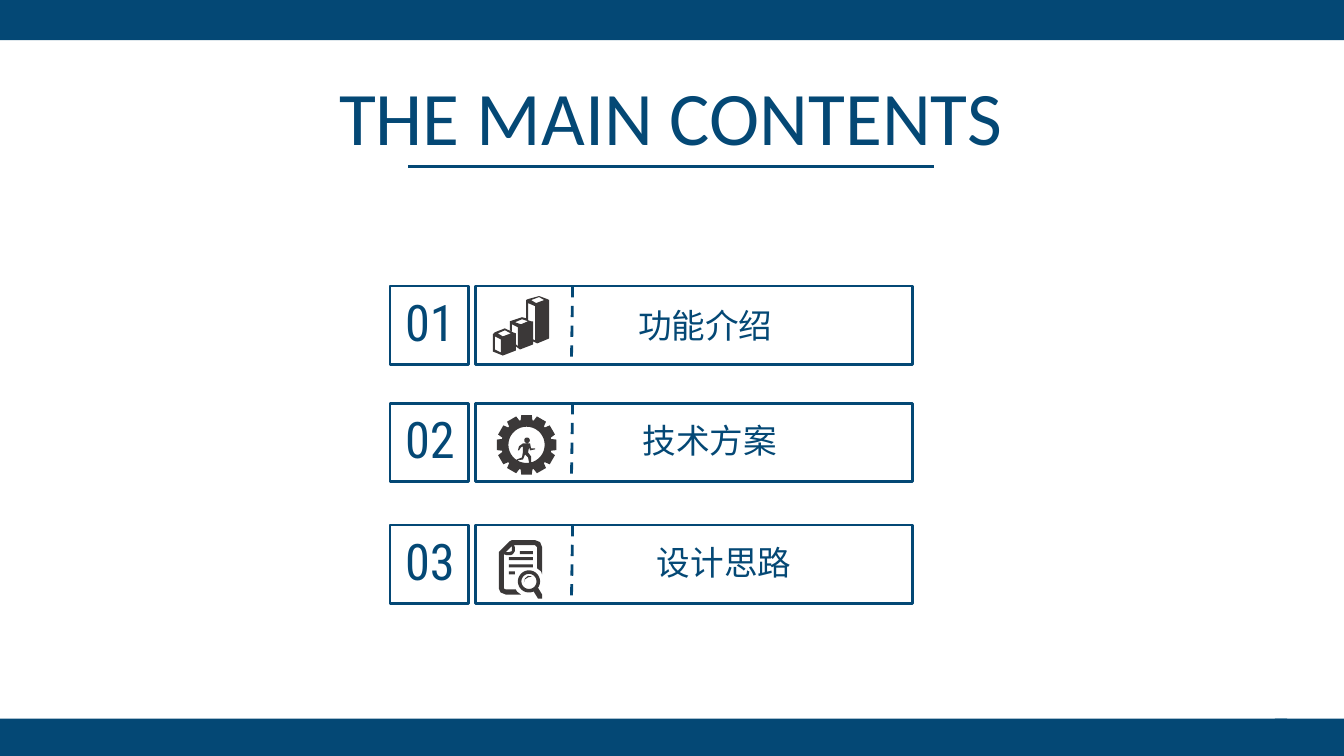
from dataclasses import dataclass
from math import cos, radians, sin

from lxml.etree import SubElement
from pptx import Presentation
from pptx.dml.color import RGBColor
from pptx.enum.dml import MSO_LINE
from pptx.enum.shapes import MSO_CONNECTOR, MSO_SHAPE
from pptx.enum.text import PP_ALIGN
from pptx.oxml.ns import qn
from pptx.util import Cm, Pt


@dataclass(frozen=True)
class Theme:
    """Colours, fonts and sizes of the contents slide."""

    blue: RGBColor = RGBColor(0x04, 0x48, 0x75)
    dark: RGBColor = RGBColor(0x3B, 0x38, 0x38)
    title_font: str = "Calibri"
    number_font: str = "Roboto Condensed"
    label_font: str = "Noto Sans CJK SC"
    title_size: int = 54
    number_size: int = 36
    label_size: int = 24
    line_width: int = 2
    icon_unit: float = 0.0254


class ContentsPage:
    """Draws the elements of one slide in one theme."""

    def __init__(self, page, theme):
        self.shapes = page.shapes
        self.theme = theme

    def band(self, left, top, width, height):
        """Add a solid bar at the edge of the page."""
        bar = self.rectangle(left, top, width, height)
        bar.fill.solid()
        bar.fill.fore_color.rgb = self.theme.blue
        bar.line.fill.background()

    def frame(self, left, top, width, height):
        """Add an outlined empty rectangle."""
        box = self.rectangle(left, top, width, height)
        box.fill.background()
        self.stroke(box.line)

    def rectangle(self, left, top, width, height):
        """Add a rectangle without a shadow."""
        box = self.shapes.add_shape(
            MSO_SHAPE.RECTANGLE, Cm(left), Cm(top), Cm(width), Cm(height))
        box.shadow.inherit = False
        return box

    def stroke(self, line):
        """Give a line the theme's colour and width."""
        line.color.rgb = self.theme.blue
        line.width = Pt(self.theme.line_width)

    def rule(self, start, end, dashed=False):
        """Add a straight line between two points."""
        connector = self.shapes.add_connector(
            MSO_CONNECTOR.STRAIGHT, *map(Cm, start + end))
        self.stroke(connector.line)
        if dashed:
            connector.line.dash_style = MSO_LINE.DASH
        SubElement(connector._element.spPr, qn("a:effectLst"))

    def text(self, words, left, top, width, height, font, size,
             align=PP_ALIGN.CENTER, inset=0.25):
        """Add a text box holding one run."""
        box = self.shapes.add_textbox(Cm(left), Cm(top), Cm(width), Cm(height))
        box.text_frame.word_wrap = True
        box.text_frame.margin_left = Cm(inset)
        para = box.text_frame.paragraphs[0]
        para.alignment = align
        span = para.add_run()
        span.text = words
        span.font.name = font
        span.font.size = Pt(size)
        span.font.color.rgb = self.theme.blue
        SubElement(span._r.get_or_add_rPr(), qn("a:ea"), typeface=font)

    def icon(self, left, top, contours):
        """Add one filled outline made of several closed contours."""
        unit = self.theme.icon_unit
        scaled = [[(Cm(x * unit), Cm(y * unit)) for x, y in contour]
                  for contour in contours]
        builder = self.shapes.build_freeform(*scaled[0][0])
        for contour in scaled:
            if contour is not scaled[0]:
                builder.move_to(*contour[0])
            builder.add_line_segments(contour[1:], close=True)
        figure = builder.convert_to_shape(Cm(left), Cm(top))
        figure.shadow.inherit = False
        figure.fill.solid()
        figure.fill.fore_color.rgb = self.theme.dark
        figure.line.fill.background()


def polar(center, radius, angle):
    """Return the point at an angle in degrees around a center."""
    return (center[0] + radius * cos(radians(angle)),
            center[1] + radius * sin(radians(angle)))


def arc(center, radius, start=0, end=350, step=10):
    """Return points along a circle."""
    return [polar(center, radius, angle) for angle in range(start, end + 1, step)]


def block(left, top, right, bottom):
    """Return the corners of a rectangle."""
    return [(left, top), (right, top), (right, bottom), (left, bottom)]


def bars_icon():
    """Return the contours of three rising bars."""
    return [
        [(17, 25), (29, 21), (33, 22), (33, 4), (35, 3), (46, 0), (54, 3),
         (56, 4), (56, 42), (44, 47), (40, 45), (40, 48), (27, 53), (23, 50),
         (23, 54), (10, 59), (0, 55), (0, 38), (2, 36), (12, 32), (20, 36),
         (23, 37), (23, 48), (25, 50), (25, 31), (19, 28), (19, 35), (17, 34)],
        [(38, 4), (43, 7), (51, 4), (46, 1)],
        [(8, 43), (2, 40), (2, 53), (8, 56)],
        [(22, 26), (28, 28), (35, 25), (29, 23)],
        [(35, 24), (38, 25), (40, 25), (40, 43), (42, 44), (42, 10), (35, 7)],
        [(5, 37), (10, 40), (18, 37), (12, 34)],
    ]


def gear_icon():
    """Return the contours of a gear around a runner."""
    center = (29.5, 29.5)
    tooth = [(-13.5, 25), (-10, 30), (10, 30), (13.5, 25)]
    rim = [polar(center, radius, turn * 30 + angle)
           for turn in range(12) for angle, radius in tooth]
    runner = [(21, 35), (22, 31), (26, 28), (33, 28), (34, 33), (38, 33),
              (38, 34), (33, 35), (32, 32), (31, 37), (34, 41), (34, 47),
              (32, 47), (31, 42), (28, 39), (26, 44), (20, 45), (20, 44),
              (25, 42), (26, 36), (26, 31), (24, 32), (22, 35)]
    return [rim, arc(center, 18), runner, arc((30, 25), 2.75)]


def document_icon():
    """Return the contours of a document under a magnifier."""
    sheet = [(13, 0), (36, 0), (41, 2), (43, 7), (43, 34), (42, 31), (38, 28),
             (38, 7), (36, 5), (15, 5), (16, 7), (16, 11), (14, 14), (12, 15),
             (8, 15), (5, 14), (5, 48), (7, 49), (17, 49), (18, 51), (22, 54),
             (7, 54), (2, 52), (0, 48), (0, 12), (1, 11), (11, 1)]
    fold = [(13, 6), (7, 12), (10, 12), (13, 11)]
    lens = arc((30, 41), 11, 65, 395) + [(43, 54), (43, 58), (39, 58)]
    glint = [(25, 42), (26, 39), (29, 37), (33, 36), (29, 35.5), (26, 38)]
    lines = [block(10, 31, 16, 34), block(10, 24, 34, 27),
             block(10, 17, 34, 20), block(21, 11, 34, 14)]
    return [sheet, fold, *lines, lens, arc((30, 41), 7.5), glint]


def main():
    """Build the deck and save it."""
    deck = Presentation()
    deck.slide_width, deck.slide_height = Cm(33.87), Cm(19.05)
    theme = Theme()
    page = ContentsPage(deck.slides.add_slide(deck.slide_layouts[6]), theme)

    page.band(0, -0.03, 33.87, 1.04)
    page.band(32.13, 18.11, 1.74, 0.94)
    page.band(0, 18.11, 32.44, 0.94)

    left, center = PP_ALIGN.LEFT, PP_ALIGN.CENTER
    entries = [
        (7.21, "功能介绍", 14.71, 0.36, left, 1.37, bars_icon(), 12.42, 0.25),
        (10.16, "技术方案", 14.83, 0.3, left, 1.37, gear_icon(), 12.52, 0.3),
        (13.23, "设计思路", 14.3, 0.3, center, 0.25, document_icon(), 12.57, 0.38),
    ]
    for number, entry in enumerate(entries, 1):
        top, label, label_left, label_drop, align, inset, icon, icon_left, icon_drop = entry
        page.text(label, label_left, top + label_drop, 7.9, 1.27,
                  theme.label_font, theme.label_size, align, inset)
        page.frame(11.99, top, 11, 1.98)
        page.rule((14.43, top), (14.4, top + 1.98), dashed=True)
        page.frame(9.83, top, 1.98, 1.98)
        page.text(f"{number:02}", 9.55, top, 2.57, 1.8,
                  theme.number_font, theme.number_size)
        page.icon(icon_left, top + icon_drop, icon)

    page.text("THE MAIN CONTENTS", 7.62, 1.63, 18.57, 2.57,
              theme.title_font, theme.title_size)
    page.rule((10.29, 4.19), (23.55, 4.19))
    deck.save("out.pptx")


if __name__ == "__main__":
    main()
